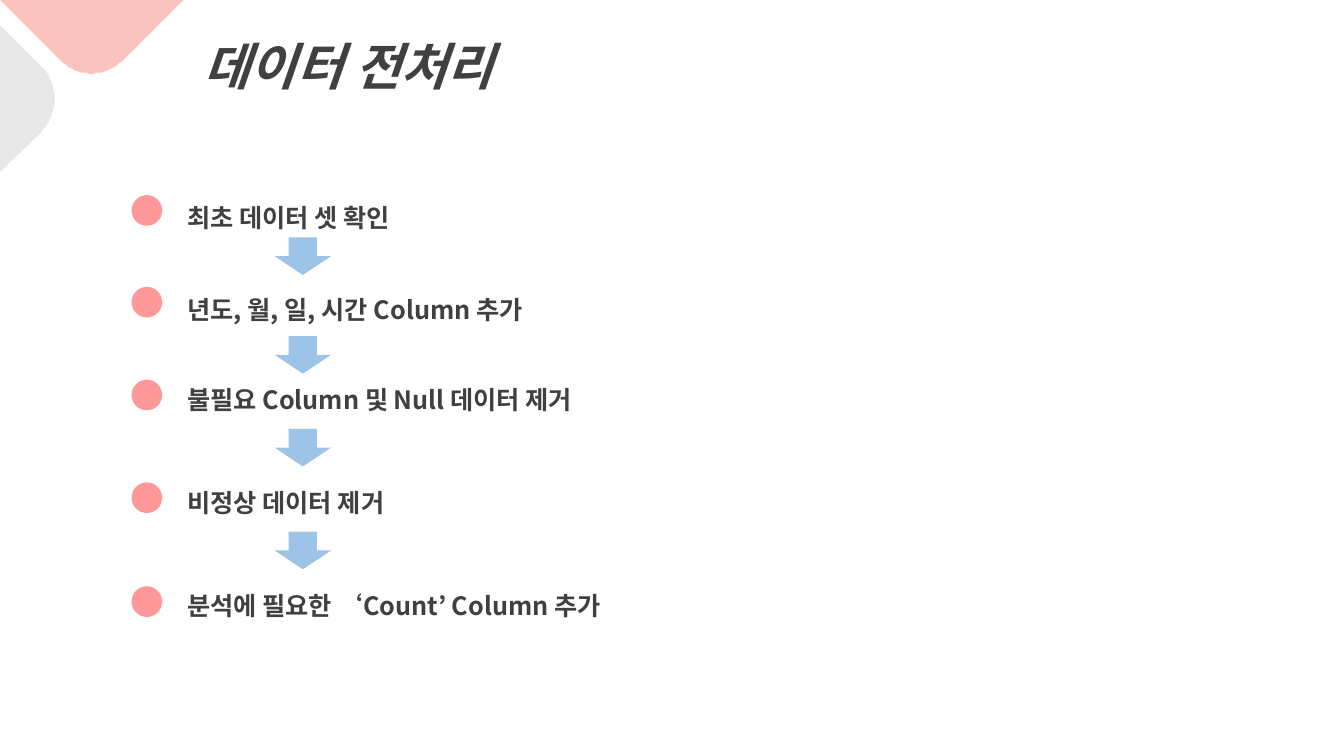
"""Build the data preprocessing slide with its five-step flow."""
from lxml.etree import SubElement
from pptx import Presentation
from pptx.dml.color import RGBColor
from pptx.enum.shapes import MSO_SHAPE
from pptx.enum.text import MSO_ANCHOR, MSO_AUTO_SIZE, PP_ALIGN
from pptx.oxml.ns import qn
from pptx.util import Pt

FONT = "Noto Sans CJK KR"
COLORS = {"text": "404040", "dot": "FF9999", "arrow": "9DC3E6",
          "pink": "FAC3BE", "grey": "E7E7E7"}
TITLE = "데이터 전처리"
STEPS = [
    ("최초 데이터 셋 확인", 144, 130.3, 180),
    ("년도, 월, 일, 시간 Column 추가", 209.5, 195.8, 301.7),
    ("불필요 Column 및 Null 데이터 제거", 275.8, 259.9, 332.6),
    ("비정상 데이터 제거", 349.2, 333.4, 332.6),
    ("분석에 필요한 ‘Count’ Column 추가", 423.4, 407.5, 332.6),
]
ARROW_TOPS = [169.6, 240.1, 306.4, 379.8]
DOT_LEFT, DOT_SIZE, TEXT_LEFT = 98.6, 12.6, 126.7
ARROW_LEFT, ARROW_WIDTH, ARROW_HEIGHT = 196.2, 40.3, 26.8
CORNERS = {
    "pink": [[(0, 0)], [(43.2, 43.2), (49, 49), (57.2, 52.6), (65.5, 52.6)],
             [(65.5, 52.6), (73.4, 52.6), (81.4, 49), (87.8, 43.2)], [(131, 0)]],
    "grey": [[(0, 18)], [(29.5, 47.5), (36, 54), (38.9, 61.9), (38.9, 70.6)],
             [(38.9, 70.6), (38.9, 79.2), (36, 87.1), (29.5, 93.6)], [(0, 123.1)]],
}


def rgb(name):
    return RGBColor.from_string(COLORS[name])


def paint(sp, color, line_width=None):
    sp.shadow.inherit = False
    sp.fill.solid()
    sp.fill.fore_color.rgb = rgb(color)
    if line_width:
        sp.line.color.rgb = rgb(color)
        sp.line.width = Pt(line_width)
    else:
        sp.line.fill.background()


def bezier(controls, steps=16):
    a, b, c, d = controls
    for i in range(steps + 1):
        t = i / steps
        u = 1 - t
        yield tuple(u**3 * a[k] + 3 * u * u * t * b[k] + 3 * u * t * t * c[k]
                    + t**3 * d[k] for k in (0, 1))


def add_corner(slide, color, segments):
    points = [point for s in segments
              for point in (bezier(s) if len(s) == 4 else s)]
    builder = slide.shapes.build_freeform(*points[0], scale=Pt(1))
    builder.add_line_segments(points[1:], close=True)
    paint(builder.convert_to_shape(), color)


def write(sp, text, size, box, italic=False):
    sp.left, sp.top, sp.width, sp.height = map(Pt, box)
    tf = sp.text_frame
    tf.text = text
    tf.word_wrap = True
    tf.auto_size = MSO_AUTO_SIZE.SHAPE_TO_FIT_TEXT
    tf.vertical_anchor = MSO_ANCHOR.TOP
    p = tf.paragraphs[0]
    p.alignment = PP_ALIGN.LEFT
    p.line_spacing = 1.5
    font = p.font
    font.name, font.size, font.bold, font.italic = FONT, Pt(size), True, italic
    font.color.rgb = rgb("text")
    SubElement(p._p.pPr.find(qn("a:defRPr")), qn("a:ea"), typeface=FONT)


prs = Presentation()
prs.slide_width, prs.slide_height = Pt(960), Pt(540)
slide = prs.slides.add_slide(prs.slide_layouts[5])
shapes = slide.shapes

for color, segments in CORNERS.items():
    add_corner(slide, color, segments)
write(shapes.title, TITLE, 36, (138.2, 0, 558.7, 64.1), italic=True)

for text, dot_top, text_top, width in STEPS:
    dot = shapes.add_shape(MSO_SHAPE.OVAL, Pt(DOT_LEFT), Pt(dot_top),
                           Pt(DOT_SIZE), Pt(DOT_SIZE))
    paint(dot, "dot", 9.5)
    box = (TEXT_LEFT, text_top, width, 40.5)
    write(shapes.add_textbox(*map(Pt, box)), text, 18, box)

for top in ARROW_TOPS:
    arrow = shapes.add_shape(MSO_SHAPE.DOWN_ARROW, Pt(ARROW_LEFT), Pt(top),
                             Pt(ARROW_WIDTH), Pt(ARROW_HEIGHT))
    paint(arrow, "arrow")

prs.save("out.pptx")
